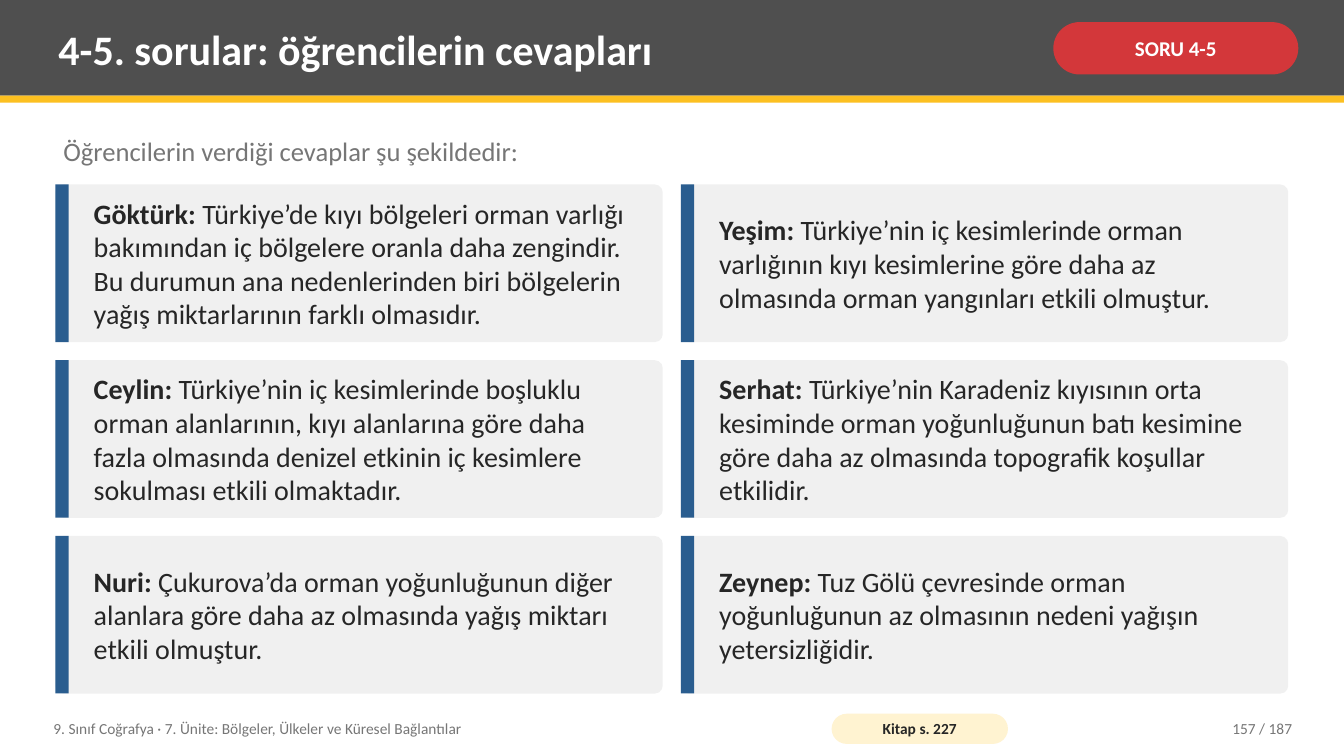
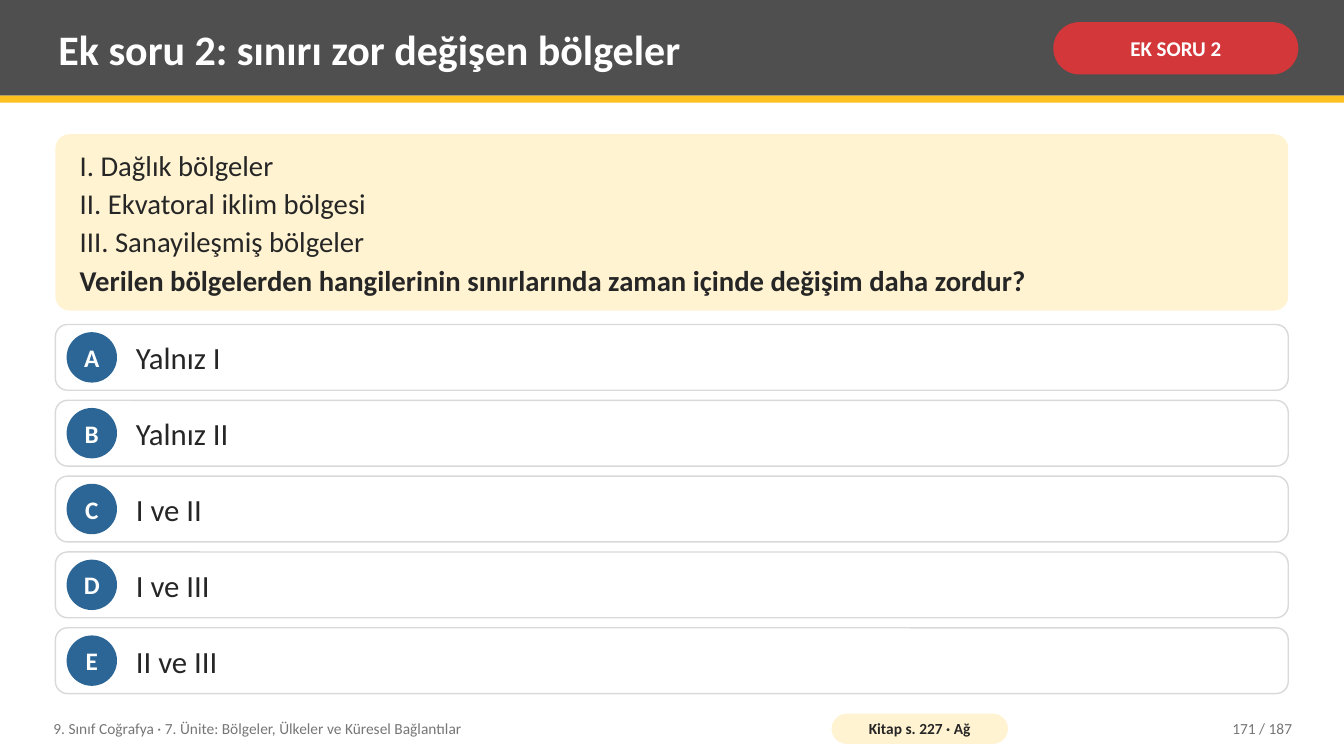
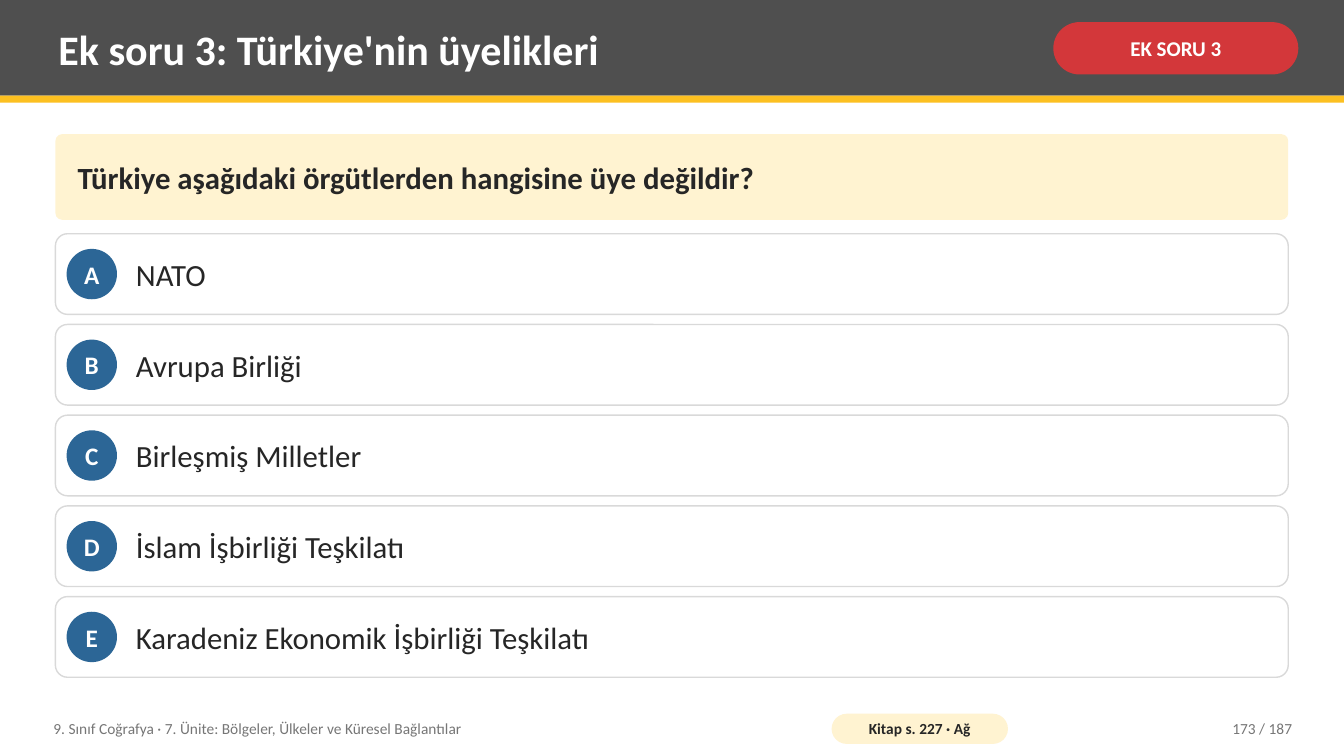
from dataclasses import dataclass
from typing import NamedTuple

from pptx import Presentation
from pptx.dml.color import RGBColor
from pptx.enum.shapes import MSO_SHAPE
from pptx.enum.text import MSO_ANCHOR, PP_ALIGN
from pptx.shapes.autoshape import Shape
from pptx.slide import Slide
from pptx.util import Pt

WHITE = RGBColor(0xFF, 0xFF, 0xFF)
HEADER_GRAY = RGBColor(0x4F, 0x4F, 0x4F)
YELLOW = RGBColor(0xFC, 0xC0, 0x21)
CREAM = RGBColor(0xFF, 0xF3, 0xD1)
RED = RGBColor(0xD3, 0x37, 0x3A)
STRIPE_BLUE = RGBColor(0x2A, 0x5D, 0x8F)
LETTER_BLUE = RGBColor(0x2C, 0x66, 0x96)
CARD_GRAY = RGBColor(0xF0, 0xF0, 0xF0)
BORDER_GRAY = RGBColor(0xD9, 0xD9, 0xD9)
INK = RGBColor(0x26, 0x26, 0x26)
MUTED = RGBColor(0x76, 0x76, 0x76)

FONT = "Calibri"
UNIT = "9. Sınıf Coğrafya · 7. Ünite: Bölgeler, Ülkeler ve Küresel Bağlantılar"
SLIDE_TOTAL = 187

SLIDE_WIDTH, SLIDE_HEIGHT = 960, 540
HEADER_HEIGHT = 68.4
LEFT, CONTENT_WIDTH, CONTENT_BOTTOM = 39.6, 880.6, 495.4
QUESTION_TOP = 95.8
CARD_TOP, CARD_GAP = 131.8, 13
OPTION_GAP, OPTION_MAX_HEIGHT, OPTION_RADIUS = 7.2, 57.6, 8.64
LETTER_SIZE = 36


class Box(NamedTuple):
    left: float
    top: float
    width: float
    height: float


class Span(NamedTuple):
    text: str
    bold: bool = False


Paragraph = tuple[Span, ...]


@dataclass(frozen=True)
class Frame:
    """Wording of the header and footer of one slide."""
    title: str
    badge: str
    source: str
    number: int


@dataclass(frozen=True)
class Answer:
    student: str
    claim: str


@dataclass(frozen=True)
class Question:
    frame: Frame
    paragraphs: list[Paragraph]
    size: float
    height: float
    options: list[str]


ANSWERS_FRAME = Frame("4-5. sorular: öğrencilerin cevapları", "SORU 4-5", "Kitap s. 227", 157)
ANSWERS = [
    Answer("Göktürk", "Türkiye’de kıyı bölgeleri orman varlığı bakımından iç bölgelere oranla "
           "daha zengindir. Bu durumun ana nedenlerinden biri bölgelerin yağış miktarlarının "
           "farklı olmasıdır."),
    Answer("Yeşim", "Türkiye’nin iç kesimlerinde orman varlığının kıyı kesimlerine göre daha az "
           "olmasında orman yangınları etkili olmuştur."),
    Answer("Ceylin", "Türkiye’nin iç kesimlerinde boşluklu orman alanlarının, kıyı alanlarına "
           "göre daha fazla olmasında denizel etkinin iç kesimlere sokulması etkili olmaktadır."),
    Answer("Serhat", "Türkiye’nin Karadeniz kıyısının orta kesiminde orman yoğunluğunun batı "
           "kesimine göre daha az olmasında topografik koşullar etkilidir."),
    Answer("Nuri", "Çukurova’da orman yoğunluğunun diğer alanlara göre daha az olmasında yağış "
           "miktarı etkili olmuştur."),
    Answer("Zeynep", "Tuz Gölü çevresinde orman yoğunluğunun az olmasının nedeni yağışın "
           "yetersizliğidir."),
]
QUESTIONS = [
    Question(
        Frame("Ek soru 2: sınırı zor değişen bölgeler", "EK SORU 2", "Kitap s. 227 · Ağ", 171),
        [
            (Span("I. Dağlık bölgeler"),),
            (Span("II. Ekvatoral iklim bölgesi"),),
            (Span("III. Sanayileşmiş bölgeler"),),
            (Span("Verilen bölgelerden hangilerinin sınırlarında zaman içinde değişim "
                  "daha zordur?", bold=True),),
        ],
        size=20.5,
        height=126,
        options=["Yalnız I", "Yalnız II", "I ve II", "I ve III", "II ve III"],
    ),
    Question(
        Frame("Ek soru 3: Türkiye'nin üyelikleri", "EK SORU 3", "Kitap s. 227 · Ağ", 173),
        [(Span("Türkiye aşağıdaki örgütlerden hangisine üye değildir?", bold=True),)],
        size=22,
        height=61.2,
        options=["NATO", "Avrupa Birliği", "Birleşmiş Milletler", "İslam İşbirliği Teşkilatı",
                 "Karadeniz Ekonomik İşbirliği Teşkilatı"],
    ),
]


def add_panel(slide: Slide, kind: MSO_SHAPE, box: Box, fill: RGBColor, *,
              rounding: float | None = None, border: RGBColor | None = None) -> Shape:
    panel = slide.shapes.add_shape(kind, *map(Pt, box))
    panel.shadow.inherit = False
    panel.fill.solid()
    panel.fill.fore_color.rgb = fill
    if border is None:
        panel.line.fill.background()
    else:
        panel.line.color.rgb = border
        panel.line.width = Pt(1)
    if rounding is not None:
        panel.adjustments[0] = rounding
    return panel


def write(shape: Shape, *paragraphs: Paragraph, size: float, color: RGBColor = INK,
          align: PP_ALIGN = PP_ALIGN.LEFT, anchor: MSO_ANCHOR = MSO_ANCHOR.MIDDLE,
          inset: tuple[float, float] = (5.76, 2.88), gap: float = 0, wrap: bool = True) -> None:
    """Fill a shape with paragraphs; inset is (horizontal, vertical), gap is between paragraphs."""
    frame = shape.text_frame
    frame.word_wrap = wrap
    frame.vertical_anchor = anchor
    frame.margin_left = frame.margin_right = Pt(inset[0])
    frame.margin_top = frame.margin_bottom = Pt(inset[1])
    for index, spans in enumerate(paragraphs):
        paragraph = frame.add_paragraph() if index else frame.paragraphs[0]
        paragraph.alignment = align
        if index < len(paragraphs) - 1:
            paragraph.space_after = Pt(gap)
        for span in spans:
            run = paragraph.add_run()
            run.text = span.text
            run.font.name = FONT
            run.font.size = Pt(size)
            run.font.bold = span.bold
            run.font.color.rgb = color


def add_label(slide: Slide, box: Box) -> Shape:
    return slide.shapes.add_textbox(*map(Pt, box))


def add_framed_slide(deck: Presentation, frame: Frame) -> Slide:
    """Add a blank slide with its header band, badge and footer."""
    slide = deck.slides.add_slide(deck.slide_layouts[6])
    add_panel(slide, MSO_SHAPE.RECTANGLE, Box(0, 0, SLIDE_WIDTH, HEADER_HEIGHT), HEADER_GRAY)
    add_panel(slide, MSO_SHAPE.RECTANGLE, Box(0, HEADER_HEIGHT, SLIDE_WIDTH, 5), YELLOW)
    write(add_label(slide, Box(36, 5, 702, 59)), (Span(frame.title, bold=True),),
          size=30, color=WHITE)
    badge = add_panel(slide, MSO_SHAPE.ROUNDED_RECTANGLE, Box(752.4, 15.8, 175, 37.4), RED,
                      rounding=0.5)
    write(badge, (Span(frame.badge, bold=True),), size=15, color=WHITE,
          align=PP_ALIGN.CENTER, inset=(3.6, 1.44))

    write(add_label(slide, Box(32.4, 507, 547, 26)), (Span(UNIT),), size=11, color=MUTED)
    source = add_panel(slide, MSO_SHAPE.ROUNDED_RECTANGLE, Box(594, 509.8, 126, 21.6), CREAM,
                       rounding=0.5)
    write(source, (Span(frame.source, bold=True),), size=11, align=PP_ALIGN.CENTER,
          inset=(2.88, 0))
    write(add_label(slide, Box(813.6, 507, 115.2, 26)),
          (Span(f"{frame.number} / {SLIDE_TOTAL}"),), size=11, color=MUTED,
          align=PP_ALIGN.RIGHT)
    return slide


def add_answer_card(slide: Slide, answer: Answer, box: Box) -> None:
    add_panel(slide, MSO_SHAPE.ROUNDED_RECTANGLE, box, CARD_GRAY, rounding=0.05)
    add_panel(slide, MSO_SHAPE.RECTANGLE, box._replace(width=9.4), STRIPE_BLUE)
    label = add_label(slide, Box(box.left + 21.6, box.top + 3, box.width - 32, box.height - 6))
    write(label, (Span(f"{answer.student}:", bold=True), Span(f" {answer.claim}")), size=20)


def add_answers_slide(deck: Presentation) -> None:
    slide = add_framed_slide(deck, ANSWERS_FRAME)
    write(add_label(slide, Box(LEFT, 93.6, CONTENT_WIDTH, 32.4)),
          (Span("Öğrencilerin verdiği cevaplar şu şekildedir:"),),
          size=19, color=MUTED, anchor=MSO_ANCHOR.TOP)
    columns = 2
    rows = len(ANSWERS) // columns
    width = (CONTENT_WIDTH - CARD_GAP * (columns - 1)) / columns
    height = (CONTENT_BOTTOM - CARD_TOP - CARD_GAP * (rows - 1)) / rows
    for index, answer in enumerate(ANSWERS):
        row, column = divmod(index, columns)
        add_answer_card(slide, answer, Box(LEFT + column * (width + CARD_GAP),
                                           CARD_TOP + row * (height + CARD_GAP), width, height))


def add_option(slide: Slide, letter: str, option: str, box: Box) -> None:
    add_panel(slide, MSO_SHAPE.ROUNDED_RECTANGLE, box, WHITE,
              rounding=OPTION_RADIUS / box.height, border=BORDER_GRAY)
    circle_top = box.top + (box.height - LETTER_SIZE) / 2
    circle = add_panel(slide, MSO_SHAPE.OVAL,
                       Box(box.left + 8, circle_top, LETTER_SIZE, LETTER_SIZE), LETTER_BLUE)
    write(circle, (Span(letter, bold=True),), size=18, color=WHITE, align=PP_ALIGN.CENTER,
          inset=(0, 0), wrap=False)
    write(add_label(slide, box._replace(left=box.left + 51.8, width=box.width - 59)),
          (Span(option),), size=22)


def add_question_slide(deck: Presentation, question: Question) -> None:
    slide = add_framed_slide(deck, question.frame)
    stem = add_panel(slide, MSO_SHAPE.ROUNDED_RECTANGLE,
                     Box(LEFT, QUESTION_TOP, CONTENT_WIDTH, question.height), CREAM,
                     rounding=0.08)
    write(stem, *question.paragraphs, size=question.size, inset=(14.4, 5.76), gap=2.8)

    top = QUESTION_TOP + question.height + 10
    count = len(question.options)
    available = CONTENT_BOTTOM - top - OPTION_GAP * (count - 1)
    height = min(OPTION_MAX_HEIGHT, available / count)
    for index, (letter, option) in enumerate(zip("ABCDE", question.options)):
        add_option(slide, letter, option,
                   Box(LEFT, top + index * (height + OPTION_GAP), CONTENT_WIDTH, height))


def main() -> None:
    deck = Presentation()
    deck.slide_width, deck.slide_height = Pt(SLIDE_WIDTH), Pt(SLIDE_HEIGHT)
    add_answers_slide(deck)
    for question in QUESTIONS:
        add_question_slide(deck, question)
    deck.save("out.pptx")


if __name__ == "__main__":
    main()
